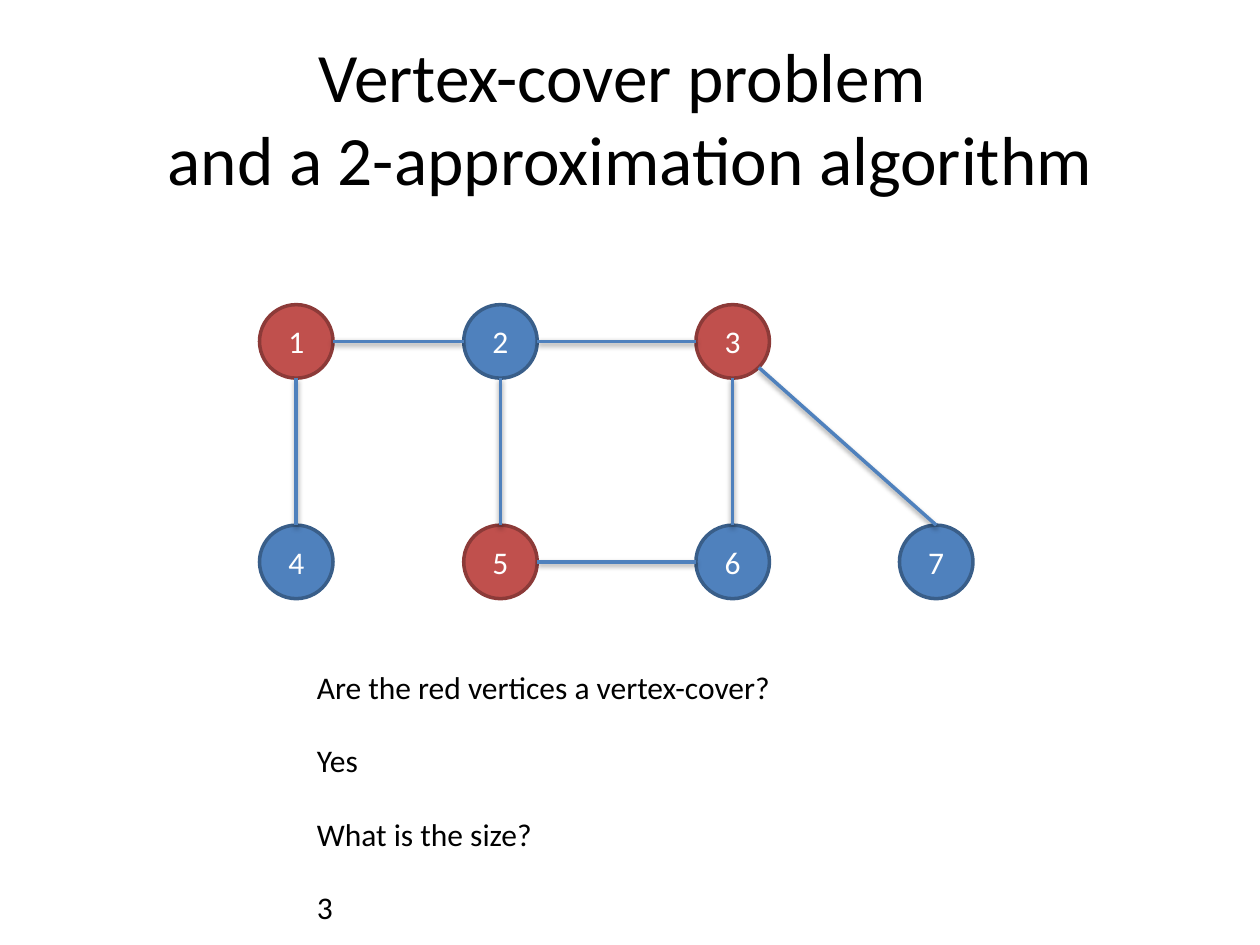
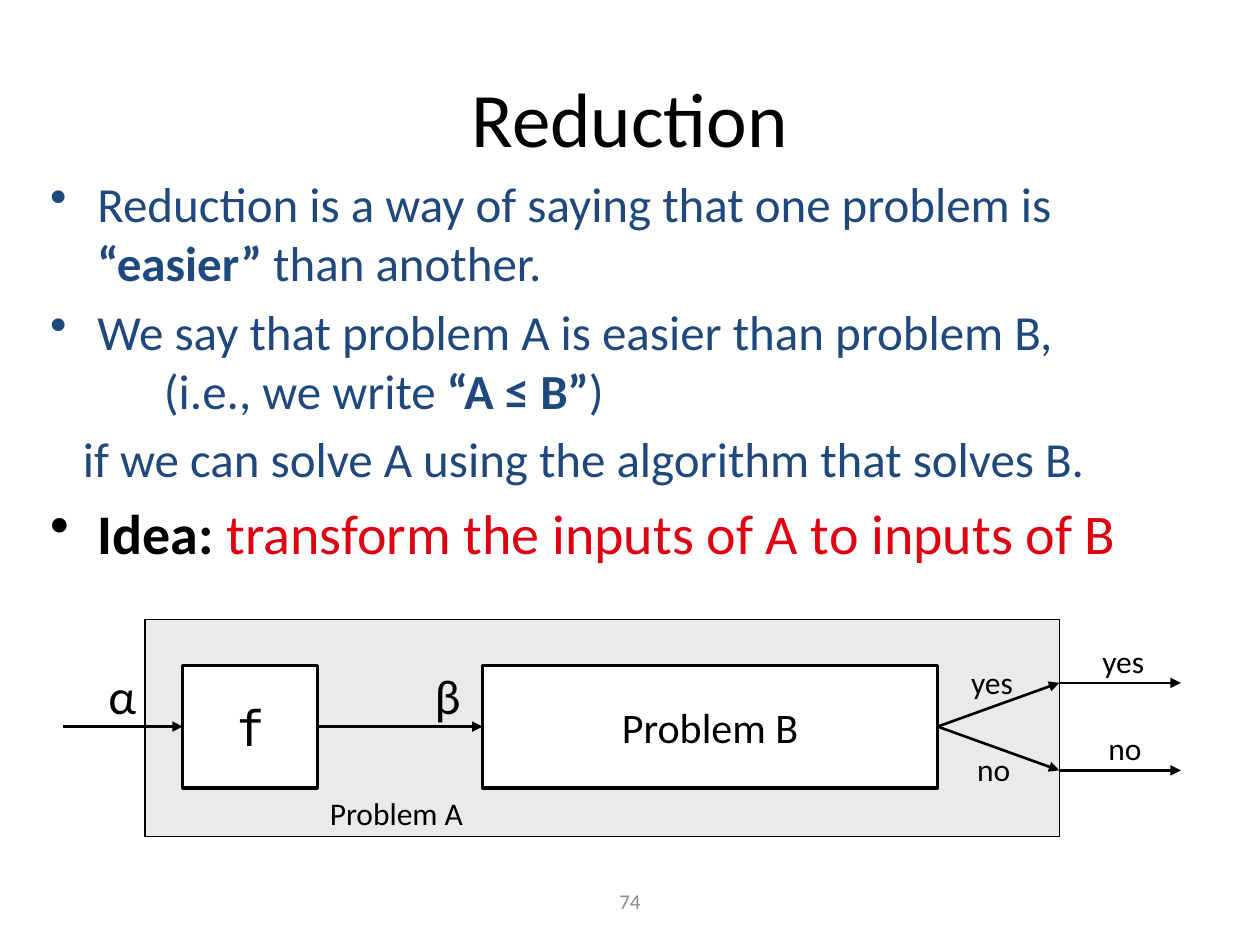
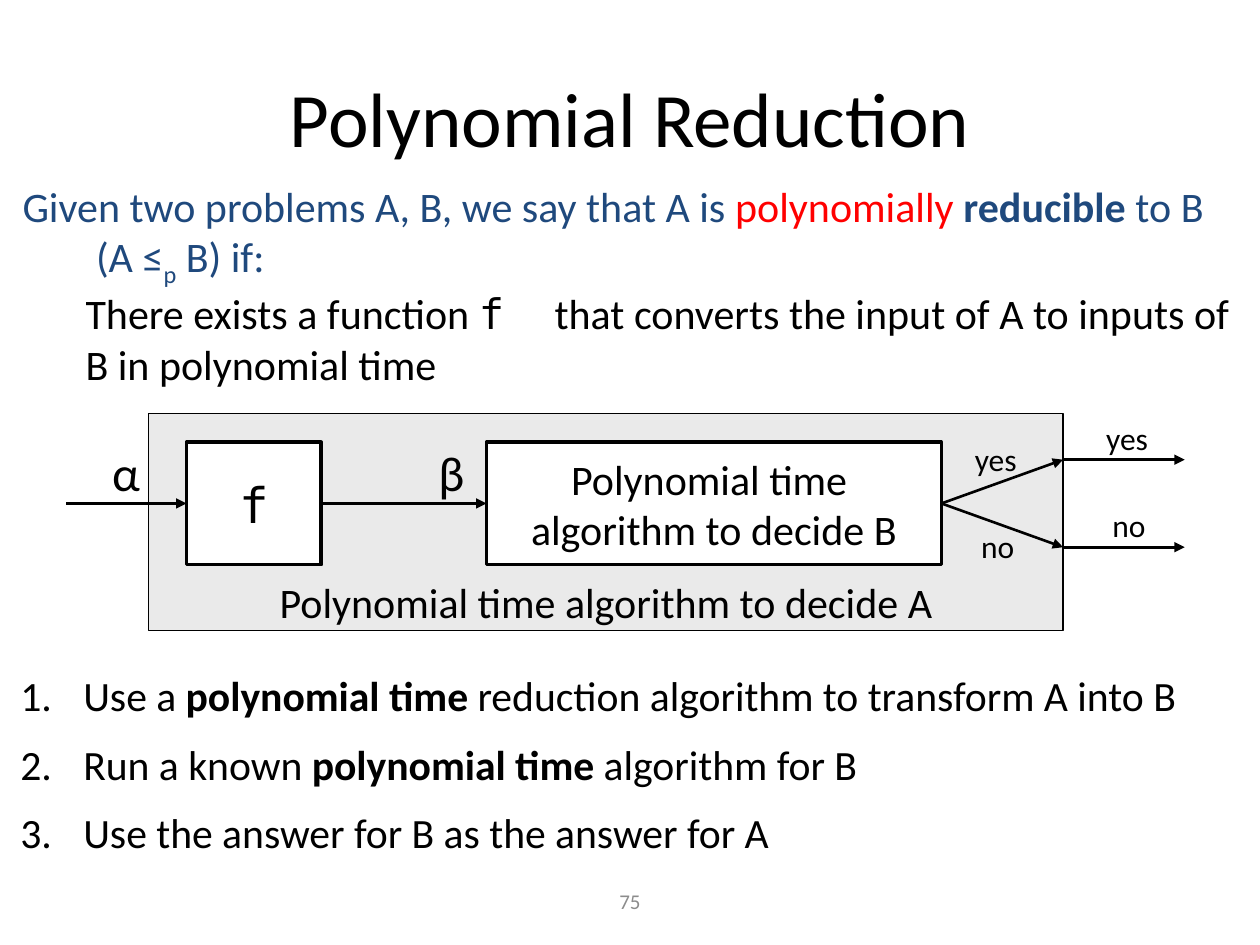
from dataclasses import dataclass

from lxml.etree import SubElement
from pptx import Presentation
from pptx.dml.color import RGBColor
from pptx.enum.shapes import MSO_CONNECTOR, MSO_SHAPE
from pptx.enum.text import MSO_ANCHOR, MSO_AUTO_SIZE, PP_ALIGN
from pptx.oxml.ns import qn
from pptx.util import Pt


@dataclass(frozen=True)
class Theme:
    font: str = "Calibri"
    code_font: str = "DejaVu Sans Mono"
    black: str = "000000"
    white: str = "FFFFFF"
    navy: str = "1F497D"
    crimson: str = "DD0111"
    red: str = "FF0000"
    grey: str = "8C8C8C"
    panel: str = "EAEAEA"
    vertex: str = "4F81BD"
    vertex_line: str = "395E89"
    cover: str = "C0504D"
    cover_line: str = "8C3A38"
    title: float = 44
    long_title: float = 39.6
    idea: float = 32
    body: float = 28
    text: float = 24
    steps: float = 23.8
    label: float = 18
    footer: float = 12


THEME = Theme()
BULLET = ("buChar", "char", "•")
NUMBER = ("buAutoNum", "type", "arabicPeriod")


@dataclass
class Line:
    """One paragraph: plain text, or a list of (text, run format) pairs."""
    runs: object
    size: float = THEME.label
    color: str = THEME.black
    font: str = THEME.font
    bold: bool = False
    align: object = PP_ALIGN.LEFT
    margin: float = 0
    indent: float = 0
    bullet: tuple = None
    before: float = 0
    spacing: float = None


def rgb(color):
    return RGBColor.from_string(color)


# ---- Text ----
def format_run(run, bold=None, color=None, font=None, baseline=None, tracking=None):
    if bold is not None:
        run.font.bold = bold
    if color:
        run.font.color.rgb = rgb(color)
    if font:
        run.font.name = font
    properties = run._r.get_or_add_rPr()
    if baseline:
        properties.set("baseline", str(baseline))
    if tracking:
        properties.set("spc", str(tracking))


def write_line(paragraph, line):
    properties = paragraph._p.get_or_add_pPr()
    properties.set("marL", str(Pt(line.margin)))
    properties.set("indent", str(Pt(line.indent)))
    if line.bullet:
        tag, attribute, value = line.bullet
        SubElement(properties, qn("a:" + tag)).set(attribute, value)
    else:
        SubElement(properties, qn("a:buNone"))
    paragraph.alignment = line.align
    paragraph.space_before = Pt(line.before)
    if line.spacing:
        paragraph.line_spacing = line.spacing
    paragraph.font.size = Pt(line.size)
    paragraph.font.name = line.font
    paragraph.font.bold = line.bold
    paragraph.font.color.rgb = rgb(line.color)
    if isinstance(line.runs, str):
        paragraph.text = line.runs
        return
    for text, style in line.runs:
        run = paragraph.add_run()
        run.text = text
        format_run(run, **style)


def write_text(shape, lines, anchor=MSO_ANCHOR.TOP, wrap=True):
    frame = shape.text_frame
    frame.word_wrap = wrap
    frame.auto_size = MSO_AUTO_SIZE.NONE
    frame.vertical_anchor = anchor
    for index, line in enumerate(lines):
        paragraph = frame.add_paragraph() if index else frame.paragraphs[0]
        write_line(paragraph, line)


def add_text(slide, left, top, width, height, lines, **options):
    shape = slide.shapes.add_textbox(Pt(left), Pt(top), Pt(width), Pt(height))
    write_text(shape, lines, **options)


def add_label(slide, left, top, width, height, text, size=THEME.label):
    add_text(slide, left, top, width, height, [Line(text, size)], wrap=False)


def add_title_slide(presentation, title, size=THEME.title, number=None):
    slide = presentation.slides.add_slide(presentation.slide_layouts[5])
    shape = slide.shapes.title
    shape.left, shape.top, shape.width, shape.height = Pt(36), Pt(21.6), Pt(648), Pt(90)
    write_text(shape, [Line(title, size, align=PP_ALIGN.CENTER)], MSO_ANCHOR.MIDDLE)
    if number:
        footer = Line(number, THEME.footer, THEME.grey, align=PP_ALIGN.CENTER)
        add_text(slide, 246, 500.4, 228, 28.8, [footer], anchor=MSO_ANCHOR.MIDDLE)
    return slide


# ---- Shapes and lines ----
def add_box(slide, kind, left, top, width, height, fill, line, weight=2,
            lines=(), anchor=MSO_ANCHOR.MIDDLE):
    shape = slide.shapes.add_shape(kind, Pt(left), Pt(top), Pt(width), Pt(height))
    shape.shadow.inherit = False
    shape.fill.solid()
    shape.fill.fore_color.rgb = rgb(fill)
    shape.line.color.rgb = rgb(line)
    shape.line.width = Pt(weight)
    if lines:
        write_text(shape, lines, anchor, wrap=False)
    return shape


def add_line(slide, start, end, color, weight):
    connector = slide.shapes.add_connector(
        MSO_CONNECTOR.STRAIGHT, *(Pt(value) for value in (*start, *end)))
    connector.line.color.rgb = rgb(color)
    connector.line.width = Pt(weight)
    effects = SubElement(connector._element.spPr, qn("a:effectLst"))
    return connector, effects


def add_arrow(slide, start, end, source=None, target=None):
    connector, _ = add_line(slide, start, end, THEME.black, 1.5)
    if source is not None:
        connector.begin_connect(source, 3)
    if target is not None:
        connector.end_connect(target, 1)
    SubElement(connector.line._get_or_add_ln(), qn("a:tailEnd")).set("type", "triangle")


def add_edge(slide, start, end):
    _, effects = add_line(slide, start, end, THEME.vertex, 2)
    shadow = SubElement(effects, qn("a:outerShdw"), blurRad=str(Pt(3.1)),
                        dist=str(Pt(1.6)), dir="5400000", rotWithShape="0")
    color = SubElement(shadow, qn("a:srgbClr"), val=THEME.black)
    SubElement(color, qn("a:alpha"), val="38000")


# ---- Graph ----
def add_graph(slide):
    radius = 21
    columns, rows = (169.3, 286, 418.7, 535), (195.1, 321.1)
    centers = {str(index + 1): (columns[index], rows[0]) for index in range(3)}
    centers.update({str(index + 4): (columns[index], rows[1]) for index in range(4)})
    for name, (x, y) in centers.items():
        in_cover = name in "135"
        fill = THEME.cover if in_cover else THEME.vertex
        outline = THEME.cover_line if in_cover else THEME.vertex_line
        text = Line(name, color=THEME.white, align=PP_ALIGN.CENTER)
        add_box(slide, MSO_SHAPE.OVAL, x - radius, y - radius, 2 * radius, 2 * radius,
                fill, outline, lines=[text])

    # Directions from a vertex centre to its rim
    top, bottom, left, right = (0, -1), (0, 1), (-1, 0), (1, 0)
    lower_right = (0.71, 0.71)

    def rim(name, direction):
        return tuple(center + radius * part
                     for center, part in zip(centers[name], direction))

    edges = [("1", bottom, "4", top), ("1", right, "2", left), ("2", right, "3", left),
             ("2", bottom, "5", top), ("3", lower_right, "7", top),
             ("3", bottom, "6", top), ("5", right, "6", left)]
    for source, leave, target, enter in edges:
        add_edge(slide, rim(source, leave), rim(target, enter))


# ---- Reduction diagram ----
def add_reduction(slide, left, panel_top, top, problem_b, panel_lines=()):
    height = 70
    middle, edge = top + height / 2, left + 522.5
    panel = add_box(slide, MSO_SHAPE.RECTANGLE, left, panel_top, 522.5, 124, THEME.panel,
                    THEME.black, 0.75, panel_lines, MSO_ANCHOR.BOTTOM)
    panel.text_frame.margin_bottom = Pt(2)
    function = add_box(
        slide, MSO_SHAPE.RECTANGLE, left + 21.6, top, 77, height, THEME.white, THEME.black,
        lines=[Line("f", THEME.body, font=THEME.code_font, align=PP_ALIGN.CENTER)])
    decider = add_box(
        slide, MSO_SHAPE.RECTANGLE, left + 193, top, 260, height, THEME.white, THEME.black,
        lines=[Line(text, THEME.text, align=PP_ALIGN.CENTER) for text in problem_b])

    # Inputs
    add_arrow(slide, (left - 47, middle), (left + 21.6, middle), target=function)
    add_arrow(slide, (left + 98.6, middle), (left + 193, middle), function, decider)
    add_label(slide, left - 28, top - 3.6, 32.4, 41, "α", THEME.body)
    add_label(slide, left + 158.4, top - 3.6, 29.5, 41, "β", THEME.body)

    # Answers, inside the panel and leaving it
    for answer, offset, shift, width in (("yes", -25, 0, 42.5), ("no", 25, 3.5, 34.5)):
        y = middle + offset
        add_arrow(slide, (left + 453, middle), (edge, y), source=decider)
        add_arrow(slide, (edge, y), (edge + 69.5, y))
        add_label(slide, left + 465 + shift, y - 15, width, 29, answer)
        add_label(slide, left + 540 + shift, y - 27, width, 29, answer)


# ---- Slides ----
def add_vertex_cover(presentation):
    slide = add_title_slide(
        presentation, "Vertex-cover problem \vand a 2-approximation algorithm",
        THEME.long_title)
    add_graph(slide)
    answers = [("Are the red vertices a vertex-cover?", 300), ("Yes", 300),
               ("What is the size?", 414), ("3", 48)]
    for index, (text, width) in enumerate(answers):
        add_text(slide, 174, 378 + 42 * index, width, 29, [Line(text)])


def add_reduction_idea(presentation):
    slide = add_title_slide(presentation, "Reduction", number="74")
    body = dict(size=THEME.body, color=THEME.navy)
    bulleted = dict(margin=27, indent=-27, bullet=BULLET)
    add_text(slide, 21.6, 95.8, 684, 399.6, [
        Line([("Reduction is a way of saying that one problem is ", {}),
              ("“easier”", dict(bold=True)), (" than another.", {})], **body, **bulleted),
        Line("We say that problem A is easier than problem B,",
             before=5.6, **body, **bulleted),
        Line([("(i.e., we write ", {}), ("“A ≤ B”", dict(bold=True)), (")", {})],
             margin=65, **body),
        Line("if we can solve A using the algorithm that solves B.",
             margin=18.7, before=5.6, **body),
        Line([("Idea: ", dict(bold=True)),
              ("transform the inputs of A to inputs of B", dict(color=THEME.crimson))],
             THEME.idea, before=6.4, **bulleted),
    ])
    add_reduction(slide, 82.8, 354.2, 380.2, ["Problem B"])
    add_label(slide, 181.4, 450, 98.6, 29, "Problem A")


def add_polynomial_reduction(presentation):
    slide = add_title_slide(presentation, "Polynomial Reduction", number="75")
    strong = dict(bold=True)
    steps = [
        [("Use a ", {}), ("polynomial time", strong),
         (" reduction algorithm to transform A into B", {})],
        [("Run a known ", {}), ("polynomial time", strong), (" algorithm for B", {})],
        "Use the answer for B as the answer for A",
    ]
    add_text(slide, 0, 373.7, 702, 126.7, [
        Line(runs, THEME.steps, margin=40.5, indent=-36, bullet=NUMBER,
             before=4.8 if index else 0, spacing=1.2)
        for index, runs in enumerate(steps)])
    add_reduction(
        slide, 85, 236.2, 252.7, ["Polynomial time ", "algorithm to decide B"],
        [Line("Polynomial time algorithm to decide A", THEME.text, align=PP_ALIGN.CENTER)])
    add_text(slide, 5.8, 99.4, 714, 124, [
        Line([("Given two problems A, B, we say that A is ", {}),
              ("polynomially ", dict(color=THEME.red)), ("reducible", strong),
              (" to B (A ≤", {}), ("p", dict(baseline=-25000)), (" B) if:", {})],
             THEME.text, THEME.navy, margin=42, indent=-42),
        Line([("There exists a function ", {}),
              ("f ", dict(font=THEME.code_font, tracking=720)),
              ("that converts the input of A to inputs of B in polynomial time", {})],
             THEME.text, margin=36),
    ])


def main():
    presentation = Presentation()
    presentation.slide_width, presentation.slide_height = Pt(720), Pt(540)
    add_vertex_cover(presentation)
    add_reduction_idea(presentation)
    add_polynomial_reduction(presentation)
    presentation.save("out.pptx")


if __name__ == "__main__":
    main()
